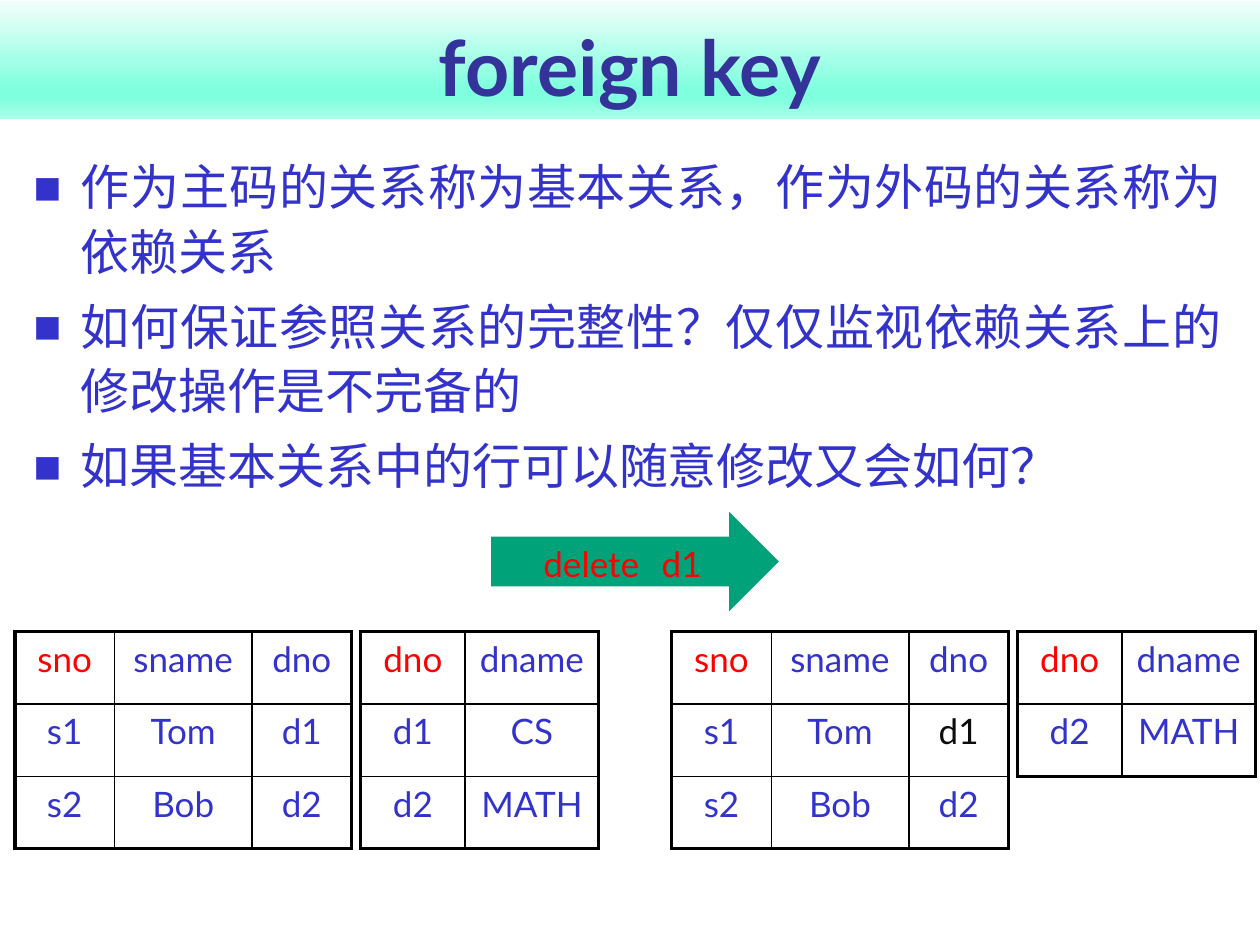
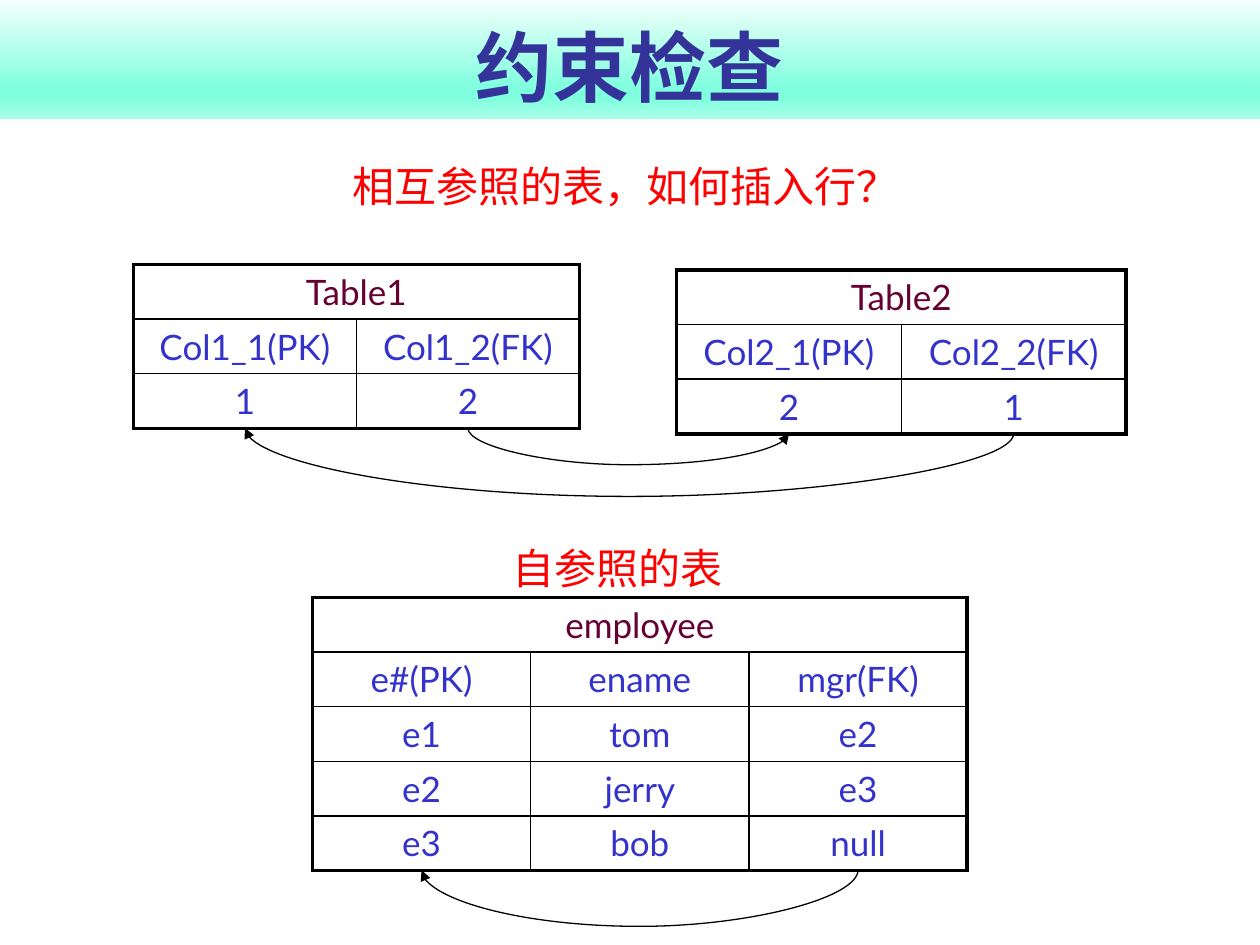
from dataclasses import dataclass
from typing import NamedTuple

from lxml import etree
from pptx import Presentation
from pptx import util as u
from pptx.dml.color import RGBColor
from pptx.enum import shapes, text
from pptx.oxml import ns


@dataclass(frozen=True)
class Theme:
    """Colours, type sizes and line weights of the deck."""
    font: str = "Lato"
    title: str = "333399"
    body: str = "3333CC"
    accent: str = "FF0000"
    heading: str = "660033"
    dark: str = "0D0D0D"
    line: str = "000000"
    arrow: str = "00A27A"
    band: tuple = ((0, "F1FFFB"), (74, "80FFDE"), (83, "80FFDE"), (100, "AAFFE9"))
    title_size: int = 44
    body_size: int = 28
    caption_size: int = 24
    cell_size: int = 20
    outer: float = 2.25
    inner: float = 1
    thin: float = 0.75


class Box(NamedTuple):
    """A rectangle in centimetres."""
    left: float
    top: float
    width: float
    height: float

    def emu(self):
        """Return the four lengths ready for python-pptx."""
        return [u.Cm(value) for value in self]

    def foot(self, column, columns):
        """Return the bottom centre of one of several equal columns."""
        return self.left + self.width * (column + 0.5) / columns, self.top + self.height


THEME = Theme()
WIDTH, HEIGHT = 25.4, 19.05


def child(parent, tag, **attributes):
    """Append a DrawingML element to a parent."""
    element = etree.SubElement(parent, ns.qn(f"a:{tag}"))
    for name, value in attributes.items():
        element.set(name, str(value))
    return element


def style(para, size, color, align=text.PP_ALIGN.CENTER, bold=False):
    """Format a paragraph and all its runs."""
    para.alignment = align
    for span in para.runs:
        span.font.name = THEME.font
        span.font.size = u.Pt(size)
        span.font.bold = bold
        span.font.color.rgb = RGBColor.from_string(color)
        span.font.language_id = None
        span._r.get_or_add_rPr().set("lang", "zh-CN")


def add_title(page, wording, spacing):
    """Draw the gradient band with the slide title."""
    band = page.shapes.add_shape(shapes.MSO_SHAPE.RECTANGLE, *Box(0, 0.03, WIDTH, 2.36).emu())
    band.shadow.inherit = False
    band.line.fill.background()
    band.fill.gradient()
    band.fill.gradient_angle = 270
    stops = band.element.spPr.find(".//" + ns.qn("a:gsLst"))
    for stop in list(stops):
        stops.remove(stop)
    for position, color in THEME.band:
        child(child(stops, "gs", pos=position * 1000), "srgbClr", val=color)
    frame = band.text_frame
    frame.word_wrap = True
    frame.vertical_anchor = text.MSO_ANCHOR.BOTTOM
    frame.text = wording
    frame.paragraphs[0].line_spacing = spacing
    style(frame.paragraphs[0], THEME.title_size, THEME.title, bold=True)


def add_bullets(page, box, lines):
    """Write justified paragraphs with square bullets."""
    frame = page.shapes.add_textbox(*box.emu()).text_frame
    frame.word_wrap = True
    frame.text = "\n".join(lines)
    for number, para in enumerate(frame.paragraphs):
        properties = para._p.get_or_add_pPr()
        properties.set("marL", str(u.Cm(0.95)))
        properties.set("indent", str(-u.Cm(0.95)))
        child(child(properties, "buClr"), "srgbClr", val=THEME.body)
        child(properties, "buSzPct", val=60000)
        child(properties, "buFont", typeface=THEME.font)
        child(properties, "buChar", char="■")
        para.line_spacing = 1.1
        if number:
            para.space_before = u.Pt(0.2 * THEME.body_size)
        style(para, THEME.body_size, THEME.body, text.PP_ALIGN.JUSTIFY)


def add_caption(page, box, wording):
    """Write a centred red caption."""
    frame = page.shapes.add_textbox(*box.emu()).text_frame
    frame.word_wrap = True
    frame.text = wording
    style(frame.paragraphs[0], THEME.caption_size, THEME.accent)


def set_borders(cell, weights):
    """Give a cell its left, right, top and bottom border weights."""
    properties = cell._tc.get_or_add_tcPr()
    for place, (side, weight) in enumerate(zip("LRTB", weights)):
        border = child(properties, f"ln{side}", w=u.Pt(weight))
        if weight:
            child(child(border, "solidFill"), "srgbClr", val=THEME.line)
        else:
            child(border, "noFill")
        properties.insert(place, border)


def add_grid(page, box, rows, shares, colors):
    """Draw a ruled table; a one-cell row spans all columns."""
    count = len(shares)
    grid = page.shapes.add_table(len(rows), count, *box.emu()).table
    grid.first_row = grid.horz_banding = False
    for column, share in zip(grid.columns, shares):
        column.width = u.Cm(box.width * share / sum(shares))
    for r, row in enumerate(rows):
        grid.rows[r].height = u.Cm(box.height / len(rows))
        if len(row) == 1:
            grid.cell(r, 0).merge(grid.cell(r, count - 1))
        for c in range(count):
            cell = grid.cell(r, c)
            cell.fill.background()
            inner = THEME.inner if len(row) == count else 0
            set_borders(cell, (
                inner if c else THEME.outer,
                THEME.outer if c + cell.span_width == count else inner,
                THEME.inner if r else THEME.outer,
                THEME.outer if r + 1 == len(rows) else THEME.inner))
            if c < len(row):
                cell.text_frame.text = row[c]
                style(cell.text_frame.paragraphs[0], THEME.cell_size,
                      colors.get((r, c), THEME.body))


def add_arc(page, start, end, sag):
    """Draw a curved arrow that hangs below its two ends."""
    (x1, y1), (x2, y2) = start, end
    rise, run = max(abs(y2 - y1), 0.01), abs(x2 - x1)
    left, top = (x1 + x2 - rise) / 2, (y1 + y2 - run) / 2
    arc = page.shapes.add_connector(shapes.MSO_CONNECTOR.CURVE,
                                    *[u.Cm(v) for v in (left, top, left + rise, top + run)])
    arc.line.color.rgb = RGBColor.from_string(THEME.line)
    arc.line.width = u.Pt(THEME.thin)
    child(arc.line._get_or_add_ln(), "tailEnd", type="triangle")
    properties = arc.element.spPr
    child(properties, "effectLst")
    frame = properties.find(ns.qn("a:xfrm"))
    frame.set("rot", str(270 * 60000))
    downward = y2 >= y1
    frame.set("flipH", str(int(downward)))
    frame.set("flipV", str(int(x2 < x1)))
    adjust = round((sag if downward else -sag) / rise * 100000)
    guides = properties.find(".//" + ns.qn("a:avLst"))
    child(guides, "gd", name="adj1", fmla=f"val {adjust}")


def add_delete_arrow(page, box):
    """Draw the block arrow that names the delete operation."""
    arrow = page.shapes.add_shape(shapes.MSO_SHAPE.RIGHT_ARROW, *box.emu())
    arrow.shadow.inherit = False
    arrow.fill.solid()
    arrow.fill.fore_color.rgb = RGBColor.from_string(THEME.arrow)
    arrow.line.fill.background()
    arrow.text_frame.vertical_anchor = text.MSO_ANCHOR.TOP
    para = arrow.text_frame.paragraphs[0]
    for word in ("delete", " ", "d1"):
        para.add_run().text = word
    style(para, THEME.cell_size, THEME.accent)
    para.runs[1]._r.get_or_add_rPr().set("spc", "770")


def add_relations(page, left, top, departments, colors):
    """Draw the student table and the department table side by side."""
    row_height = 1.46
    students = [("sno", "sname", "dno"), ("s1", "Tom", "d1"), ("s2", "Bob", "d2")]
    departments = [("dno", "dname"), *departments]
    key = {(0, 0): THEME.accent}
    add_grid(page, Box(left, top, 6.79, row_height * len(students)),
             students, (0.79, 1.09, 0.79), key | colors)
    add_grid(page, Box(left + 6.97, top, 4.8, row_height * len(departments)),
             departments, (0.83, 1.06), key)


def foreign_key_page(page):
    """Build the slide on deleting a referenced row."""
    add_title(page, "foreign key", 1.1)
    add_bullets(page, Box(0.43, 2.92, 24.46, 7.9), (
        "作为主码的关系称为基本关系，作为外码的关系称为依赖关系",
        "如何保证参照关系的完整性？仅仅监视依赖关系上的修改操作是不完备的",
        "如果基本关系中的行可以随意修改又会如何？"))
    cs, maths = ("d1", "CS"), ("d2", "MATH")
    add_relations(page, 0.3, 12.73, [cs, maths], {})
    add_relations(page, 13.54, 12.73, [maths], {(1, 2): THEME.dark})
    add_delete_arrow(page, Box(9.9, 10.32, 5.8, 2))


def constraint_page(page):
    """Build the slide on mutual and self reference."""
    add_title(page, "约束检查", 1)
    first = Box(2.69, 5.33, 8.99, 3.3)
    second = Box(13.64, 5.44, 9.06, 3.3)
    employee = Box(6.3, 12.04, 13.2, 5.5)
    heading = {(0, 0): THEME.heading}
    add_grid(page, first, [("Table1",), ("Col1_1(PK)", "Col1_2(FK)"), ("1", "2")],
             (1, 1), heading)
    add_grid(page, second, [("Table2",), ("Col2_1(PK)", "Col2_2(FK)"), ("2", "1")],
             (1, 1), heading)
    add_grid(page, employee, [
        ("employee",), ("e#(PK)", "ename", "mgr(FK)"), ("e1", "tom", "e2"),
        ("e2", "jerry", "e3"), ("e3", "bob", "null")], (1, 1, 1), heading)
    add_arc(page, first.foot(1, 2), second.foot(0, 2), 0.74)
    add_arc(page, second.foot(1, 2), first.foot(0, 2), 1.27)
    add_arc(page, employee.foot(2, 3), employee.foot(0, 3), 1.14)
    add_caption(page, Box(6.7, 3.12, 11.81, 1.27), "相互参照的表，如何插入行？")
    add_caption(page, Box(6.55, 10.82, 11.81, 1.27), "自参照的表")


def main():
    """Build and save the deck."""
    deck = Presentation()
    deck.slide_width, deck.slide_height = u.Cm(WIDTH), u.Cm(HEIGHT)
    for build in (foreign_key_page, constraint_page):
        build(deck.slides.add_slide(deck.slide_layouts[6]))
    deck.save("out.pptx")


if __name__ == "__main__":
    main()
